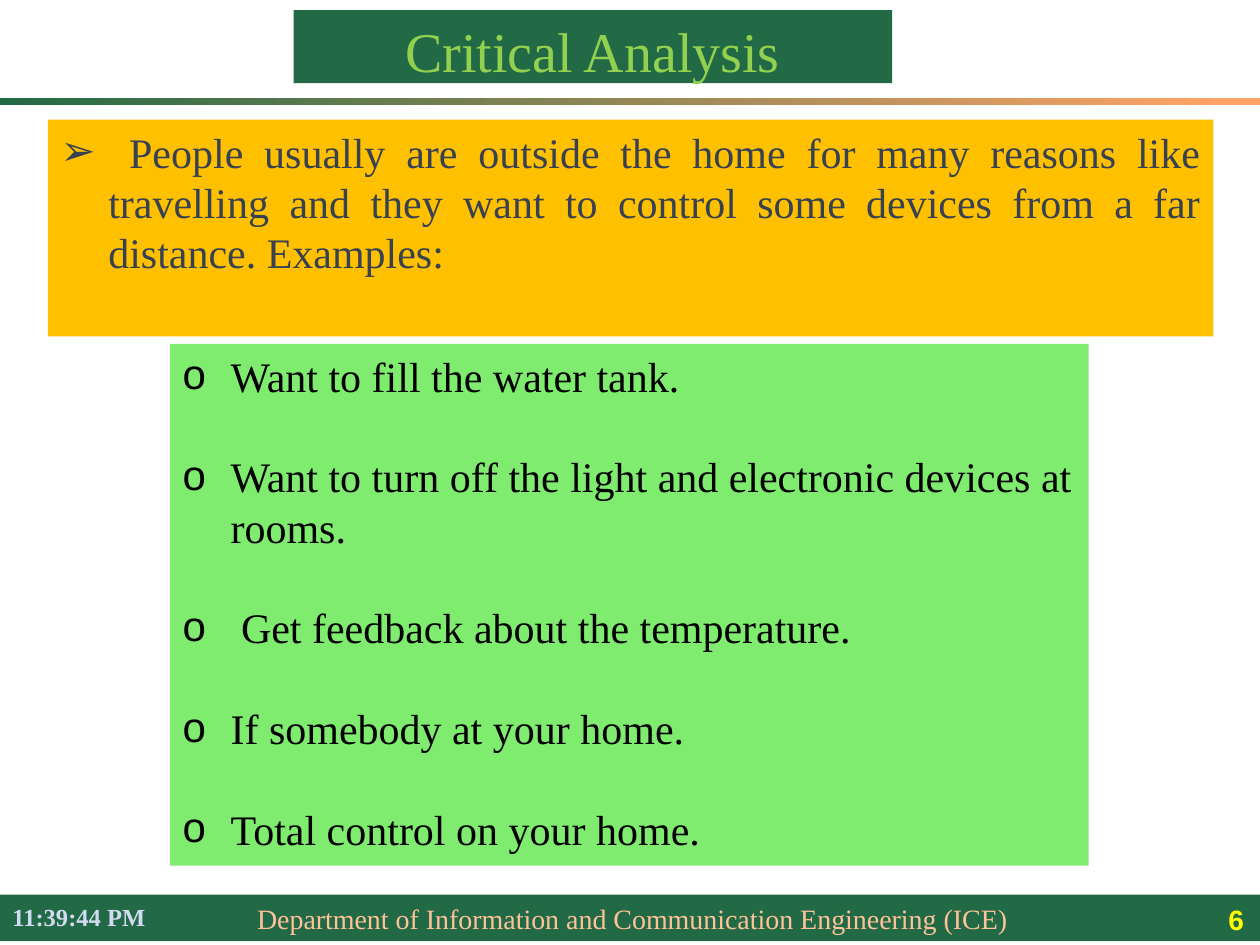
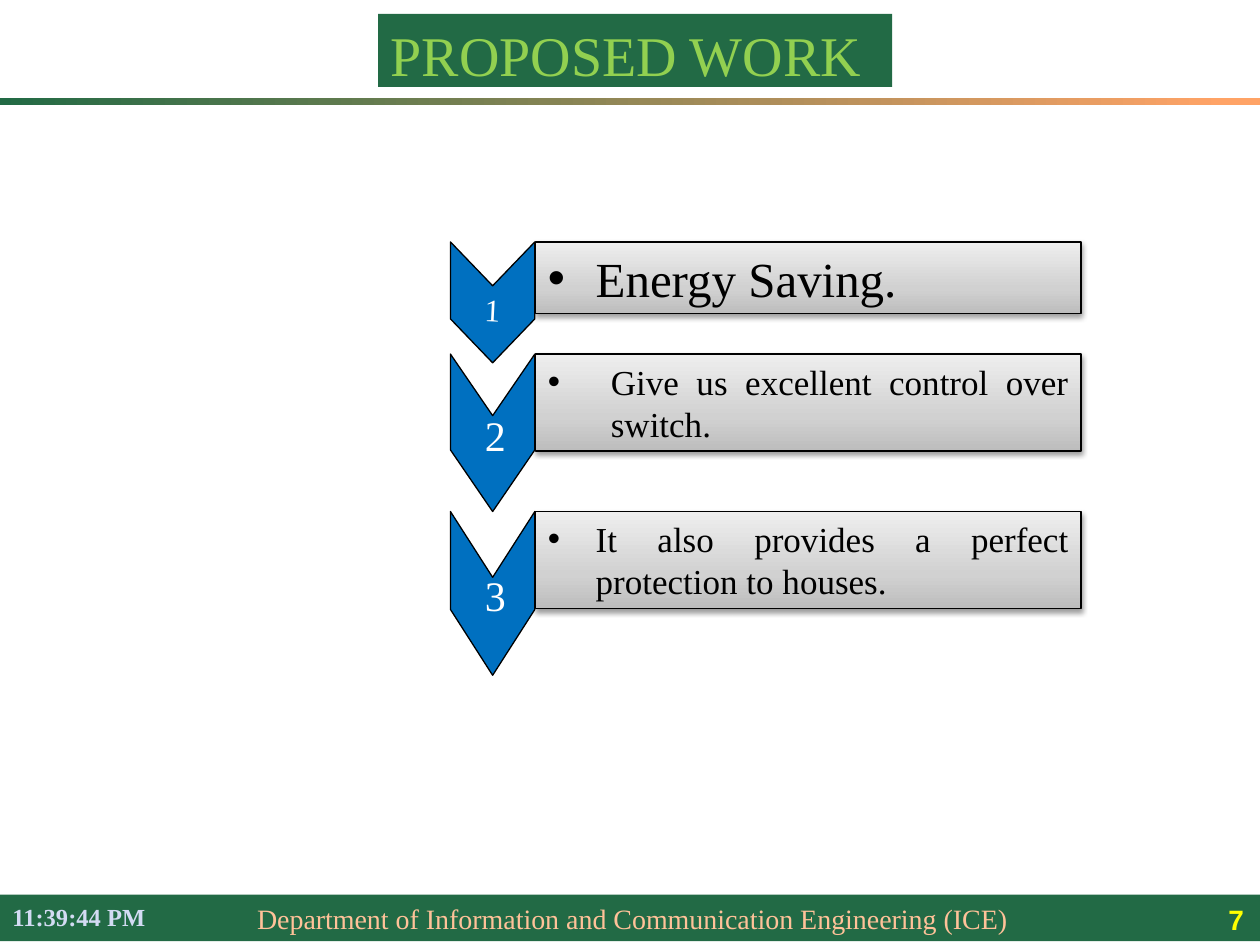
"""Build two slides on the critical analysis and proposed work of a home control project."""
import pptx
import pptx.dml.color
import pptx.enum.shapes
import pptx.enum.text
import pptx.oxml
import pptx.oxml.ns
import pptx.util

Inches = pptx.util.Inches
Pt = pptx.util.Pt
Shapes = pptx.enum.shapes.MSO_SHAPE
Align = pptx.enum.text.PP_ALIGN
Anchor = pptx.enum.text.MSO_ANCHOR

COLORS = {
    "green": "226A45", "orange": "FFA366", "peach": "FFC299", "lavender": "D3DBF3",
    "yellow": "FFFF00", "lime": "92D050", "amber": "FFC000", "slate": "374151",
    "mint": "7FEC70", "blue": "0070C0", "black": "000000", "white": "FFFFFF",
    "silver": "BDBDBD", "gray": "D1D1D1", "pale": "EEEEEE",
}
SERIF, SANS = "Times New Roman", "Arial"


def color(name):
    return pptx.dml.color.RGBColor.from_string(COLORS[name])


def append_xml(parent, tag, content):
    namespace = pptx.oxml.ns.nsdecls("a")
    name = tag.split()[0]
    parent.append(pptx.oxml.parse_xml(f"<a:{tag} {namespace}>{content}</a:{name}>"))


class Deck:
    def __init__(self):
        self.presentation = pptx.Presentation()
        self.presentation.slide_width = Inches(10)
        self.presentation.slide_height = Inches(7.5)
        self.slide = None

    def add_slide(self, layout, number):
        self.slide = self.presentation.slides.add_slide(self.presentation.slide_layouts[layout])
        footer = self.shape(Shapes.RECTANGLE, 0, 7.1, 10, 0.37, "green")
        self.set_text(footer, ["Department of Information and Communication Engineering (ICE)"],
                      16, "peach", anchor=Anchor.MIDDLE)
        footer.text_frame.margin_left = Inches(2.04)
        self.label("11:39:44 PM", 0, 7.11, 1.75, 0.31, 14, "lavender", bold=True, before=3)
        self.label(str(number), 7.89, 7.04, 2.08, 0.44, 16, "yellow", bold=True, font=SANS,
                   align=Align.RIGHT, anchor=Anchor.BOTTOM)
        rule = self.shape(Shapes.RECTANGLE, 0, 0.78, 10, 0.05)
        self.gradient(rule, [(0, "green"), (97, "orange")], 0)

    def shape(self, kind, left, top, width, height, fill=None, outline=False):
        shape = self.slide.shapes.add_shape(kind, Inches(left), Inches(top),
                                            Inches(width), Inches(height))
        shape.shadow.inherit = False
        if fill:
            shape.fill.solid()
            shape.fill.fore_color.rgb = color(fill)
        if outline:
            shape.line.color.rgb = color("black")
            shape.line.width = Pt(0.75)
        else:
            shape.line.fill.background()
        return shape

    def gradient(self, shape, stops, angle):
        shape.fill.gradient()
        shape.fill.gradient_angle = angle
        stop_list = shape._element.spPr.find(".//" + pptx.oxml.ns.qn("a:gsLst"))
        for stop in list(stop_list):
            stop_list.remove(stop)
        for position, name in stops:
            append_xml(stop_list, f'gs pos="{position * 1000}"',
                       f'<a:srgbClr val="{COLORS[name]}"/>')

    def set_text(self, shape, lines, size, ink, font=SERIF, bold=False, align=Align.LEFT,
                 anchor=Anchor.TOP, before=0):
        frame = shape.text_frame
        frame.word_wrap = True
        frame.auto_size = pptx.enum.text.MSO_AUTO_SIZE.NONE
        frame.vertical_anchor = anchor
        frame.text = "\n".join(lines)
        for paragraph in frame.paragraphs:
            paragraph.alignment = align
            paragraph.space_before = Pt(before)
            for run in paragraph.runs:
                run.font.size = Pt(size)
                run.font.name = font
                run.font.bold = bold
                run.font.color.rgb = color(ink)

    def label(self, text, left, top, width, height, size, ink, **style):
        box = self.slide.shapes.add_textbox(Inches(left), Inches(top),
                                            Inches(width), Inches(height))
        self.set_text(box, [text], size, ink, **style)
        return box

    def placeholder(self, index, left, top, width, height, fill, geometry="rect"):
        shape = self.slide.placeholders[index]
        shape.left, shape.top = Inches(left), Inches(top)
        shape.width, shape.height = Inches(width), Inches(height)
        append_xml(shape._element.spPr, f'prstGeom prst="{geometry}"', "<a:avLst/>")
        shape.fill.solid()
        shape.fill.fore_color.rgb = color(fill)
        return shape

    def title(self, text, left, top, width, align):
        shape = self.placeholder(0, left, top, width, 0.58, "green", "roundRect")
        self.set_text(shape, [text], 32, "lime", align=align, before=7)

    def bullets(self, shape, lines, mark, size, ink, indent=0.38, gap=0):
        self.set_text(shape, lines, size, ink, align=Align.JUSTIFY)
        for number, paragraph in enumerate(shape.text_frame.paragraphs):
            paragraph.space_before = Pt(gap if number else 0)
            properties = paragraph._p.get_or_add_pPr()
            properties.set("marL", str(Inches(indent)))
            properties.set("indent", str(-Inches(indent)))
            append_xml(properties, f'buFont typeface="{SANS}"', "")
            append_xml(properties, f'buChar char="{mark}"', "")

    def bar(self, text, top, height, size, indent):
        bar = self.shape(Shapes.RECTANGLE, 4.25, top, 4.33, height, outline=True)
        self.gradient(bar, [(0, "silver"), (35, "gray"), (100, "pale")], 90)
        effects = bar._element.spPr.find(pptx.oxml.ns.qn("a:effectLst"))
        append_xml(effects, 'outerShdw blurRad="40000" dist="20000" dir="5400000" rotWithShape="0"',
                   f'<a:srgbClr val="{COLORS["black"]}"><a:alpha val="38000"/></a:srgbClr>')
        self.bullets(bar, [text], "•", size, "black", indent)

    def chevron(self, top, length, depth):
        center, thickness = 3.91, 0.67
        chevron = self.shape(Shapes.CHEVRON, center - length / 2, top + (length - thickness) / 2,
                             length, thickness, "blue", outline=True)
        chevron.rotation = 90
        chevron.adjustments[0] = depth


def build_analysis(deck):
    deck.add_slide(3, 6)
    deck.title("Critical Analysis", 2.33, 0.08, 4.75, Align.CENTER)
    reason = deck.placeholder(1, 0.38, 0.95, 9.25, 1.72, "amber")
    deck.bullets(reason, [" People usually are outside the home for many reasons like travelling "
                          "and they want to control some devices from a far distance. Examples:"],
                 "➢", 24, "slate")
    examples = deck.placeholder(2, 1.35, 2.73, 7.29, 4.14, "mint")
    deck.bullets(examples, [
        "Want to fill the water tank.",
        "Want to turn off the light and electronic devices at rooms.",
        " Get feedback about the temperature.",
        "If somebody at your home.",
        "Total control on your home.",
    ], "o", 24, "black", gap=28.7)
    for paragraph in examples.text_frame.paragraphs[1:]:
        paragraph.alignment = Align.LEFT


def build_proposal(deck):
    deck.add_slide(5, 7)
    deck.title("PROPOSED WORK", 3, 0.11, 4.08, Align.LEFT)
    steps = [
        ("Energy Saving.", 1.92, 0.57, 28, 0.38, 0.96, 0.52, 18, 0.34, 2.8),
        ("Give us excellent control over switch.", 2.81, 0.77, 20, 0.5, 1.25, 0.73, 24, 0.39, 0),
        ("It also provides a perfect protection to houses.", 4.06, 0.77, 20, 0.38, 1.3, 0.78,
         24, 0.41, 0),
    ]
    for number, step in enumerate(steps, 1):
        text, top, height, size, indent, length, depth, digit_size, drop, tilt = step
        deck.bar(text, top, height, size, indent)
        deck.chevron(top, length, depth)
        digit = deck.label(str(number), 3.75, top + drop, 0.4, digit_size / 48,
                           digit_size, "white")
        digit.rotation = tilt


def main():
    deck = Deck()
    build_analysis(deck)
    build_proposal(deck)
    deck.presentation.save("out.pptx")


if __name__ == "__main__":
    main()
